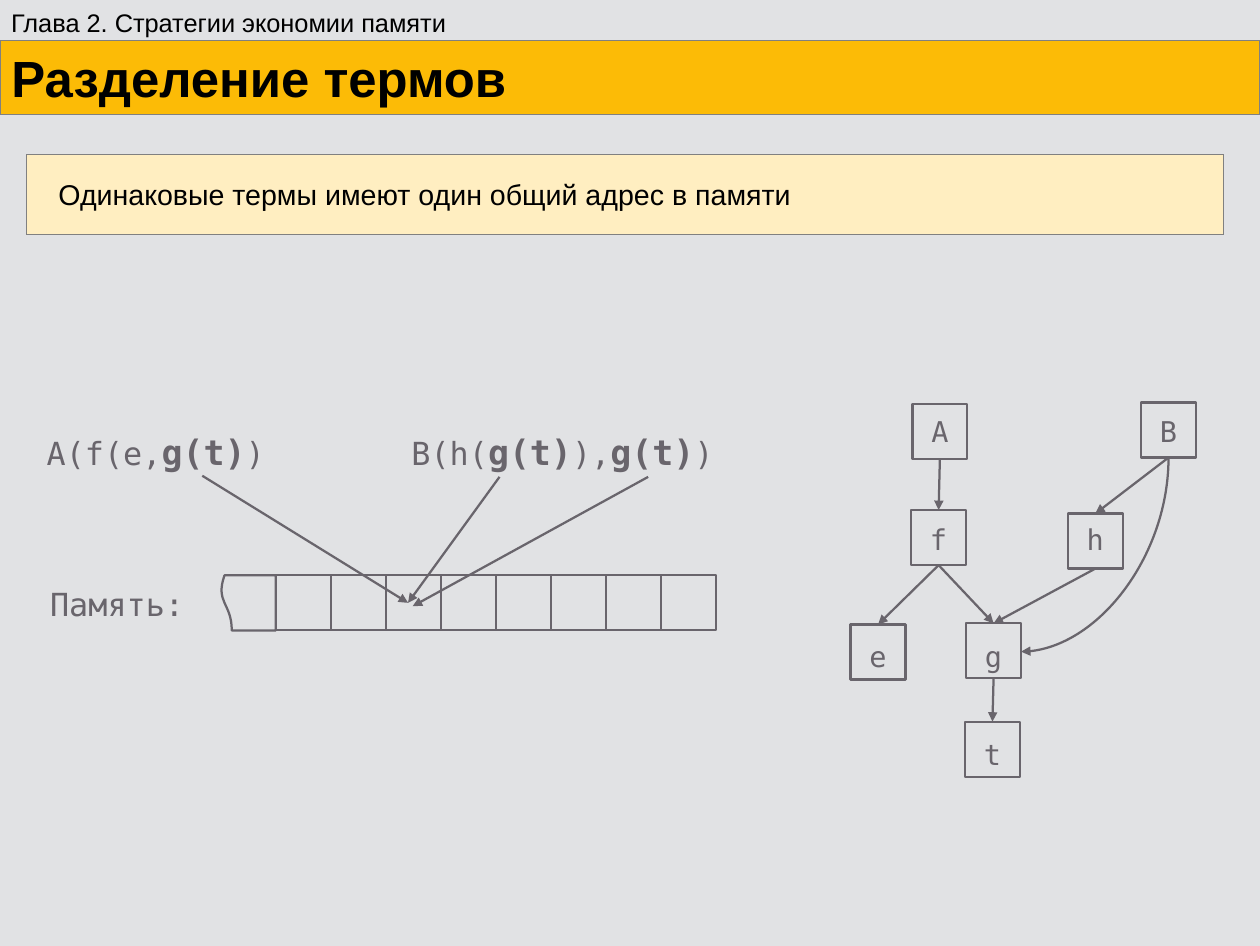
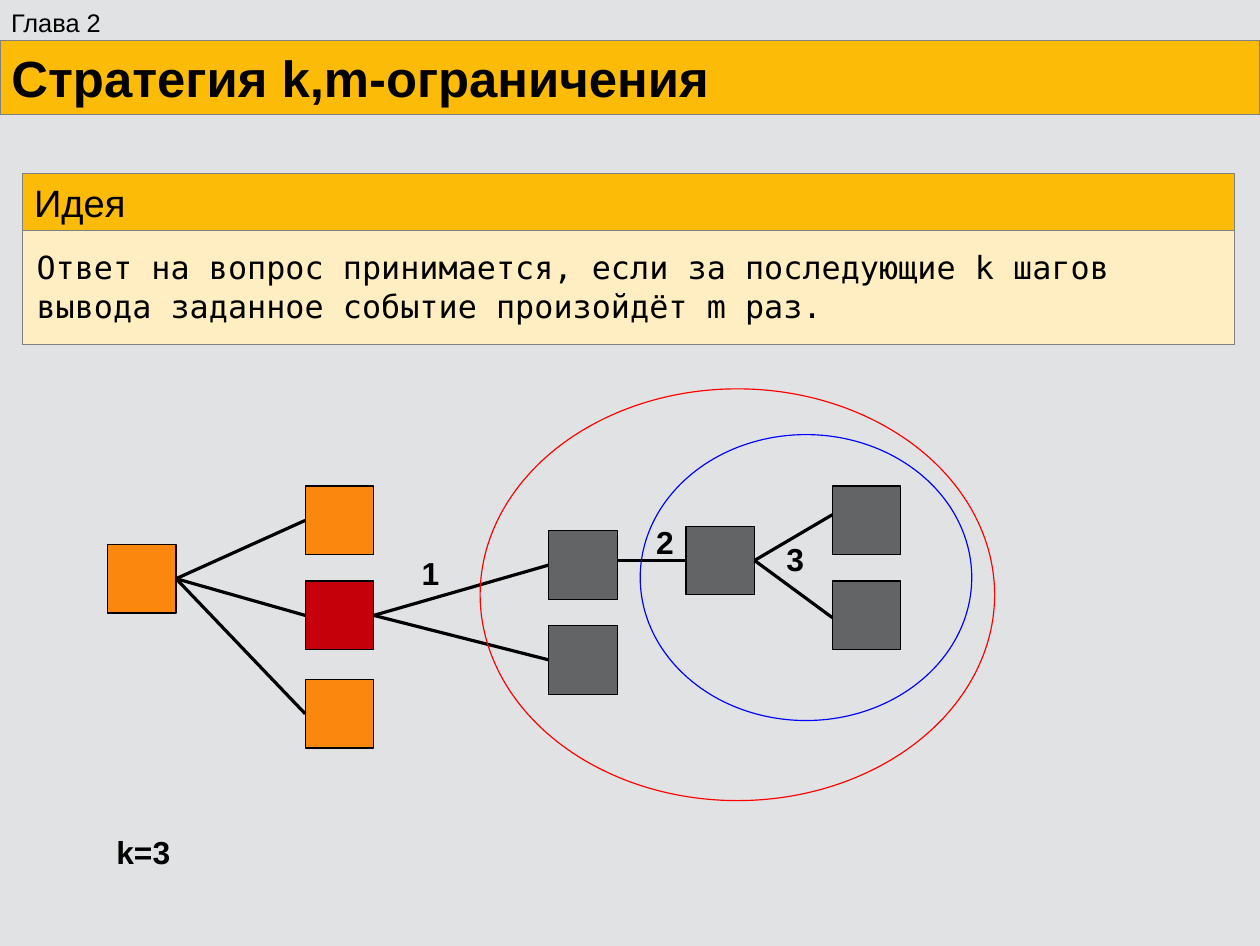
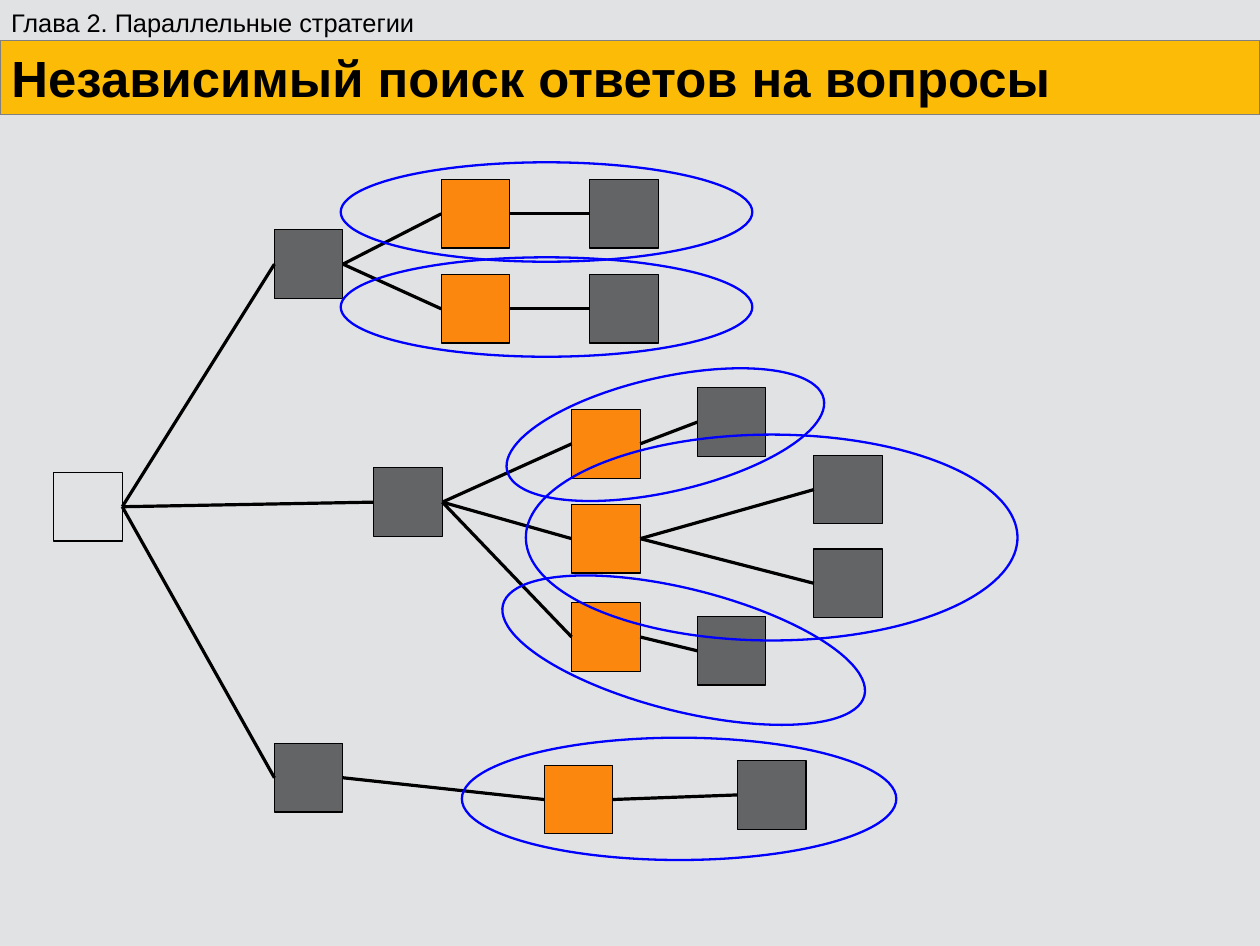
from typing import NamedTuple, Optional

from lxml.etree import SubElement
from pptx import Presentation
from pptx.dml.color import RGBColor
from pptx.enum.shapes import MSO_CONNECTOR, MSO_SHAPE
from pptx.enum.text import MSO_ANCHOR, MSO_AUTO_SIZE, PP_ALIGN
from pptx.oxml.ns import qn
from pptx.util import Pt

# Shared look
PAGE_WIDTH, PAGE_HEIGHT = 793.5, 595.5
SANS, MONO = "Arial", "DejaVu Sans Mono"
BACKGROUND, AMBER, CREAM, BORDER = "E1E2E4", "FCBB06", "FFEEC1", "808080"
BLACK, INK = "000000", "69656C"
ORANGE, GREY, CRIMSON = "FB870E", "636466", "C5000B"
RED, BLUE = "FF0000", "0000FF"
HAIRLINE, DIAGRAM_LINE = 0, 1.42
CELL, SQUARE = 34.65, 43.2
TOP, LEFT, BOTTOM, RIGHT = range(4)  # connection sites of a rectangle


class Box(NamedTuple):
    left: float
    top: float
    width: float
    height: float


class Span(NamedTuple):
    text: str
    size: float
    font: str = SANS
    color: str = BLACK
    bold: bool = False


class Outline(NamedTuple):
    color: str = BLACK
    width: float = HAIRLINE


class Letter(NamedTuple):
    name: str
    left: float
    top: float
    text_top: float


class Square(NamedTuple):
    name: str
    left: float
    top: float
    fill: Optional[str] = GREY


class Oval(NamedTuple):
    box: Box
    outline: Outline
    rotation: float = 0


INK_LINE = Outline(INK, DIAGRAM_LINE)
BORDER_LINE = Outline(BORDER)
BLUE_LINE = Outline(BLUE, 1.45)


def paint(target, color: str) -> None:
    """Give a fill or a line fill a solid colour."""
    target.solid()
    target.fore_color.rgb = RGBColor.from_string(color)


def draw_outline(line, outline: Outline) -> None:
    paint(line.fill, outline.color)
    line.width = Pt(outline.width)


def place(shape, box: Box) -> None:
    shape.left, shape.top, shape.width, shape.height = map(Pt, box)


def write(shape, spans: list[Span], wrap: bool = True, align=PP_ALIGN.LEFT,
          anchor=MSO_ANCHOR.TOP, inset_left: float = 7.2, inset_top: float = 3.6) -> None:
    frame = shape.text_frame
    frame.word_wrap = wrap
    frame.auto_size = MSO_AUTO_SIZE.NONE
    frame.vertical_anchor = anchor
    frame.margin_left, frame.margin_right = Pt(inset_left), Pt(7.2)
    frame.margin_top, frame.margin_bottom = Pt(inset_top), Pt(3.6)
    para = frame.paragraphs[0]
    para.alignment = align
    for span in spans:
        run = para.add_run()
        run.text = span.text
        run.font.name, run.font.size, run.font.bold = span.font, Pt(span.size), span.bold
        run.font.color.rgb = RGBColor.from_string(span.color)


def add_label(page, box: Box, spans: list[Span], wrap: bool = False) -> None:
    write(page.shapes.add_textbox(*map(Pt, box)), spans, wrap)


def add_figure(page, kind, box: Box, outline: Outline, fill: Optional[str] = None):
    shape = page.shapes.add_shape(kind, *map(Pt, box))
    shape.shadow.inherit = False
    if fill:
        paint(shape.fill, fill)
    else:
        shape.fill.background()
    draw_outline(shape.line, outline)
    return shape


def add_oval(page, oval: Oval) -> None:
    shape = add_figure(page, MSO_SHAPE.OVAL, oval.box, oval.outline)
    shape.rotation = oval.rotation


def add_line(page, start: tuple, end: tuple, outline: Outline,
             arrow: bool = False, kind=MSO_CONNECTOR.STRAIGHT):
    line = page.shapes.add_connector(kind, *map(Pt, (*start, *end)))
    draw_outline(line.line, outline)
    if arrow:
        SubElement(line.line._get_or_add_ln(), qn("a:tailEnd"), type="triangle")
    SubElement(line._element.spPr, qn("a:effectLst"))
    return line


def link(page, source, source_site: int, target, target_site: int,
         outline: Outline, arrow: bool = False) -> None:
    line = add_line(page, (0, 0), (1, 1), outline, arrow)
    line.begin_connect(source, source_site)
    line.end_connect(target, target_site)


def add_quarter_curve(page, start: tuple, end: tuple, outline: Outline) -> None:
    """Leave start downwards and arrive at end, lower left, from the right."""
    width, height = end[1] - start[1], start[0] - end[0]
    left = (start[0] + end[0] - width) / 2
    top = (start[1] + end[1] - height) / 2
    curve = add_line(page, (left, top), (left + width, top + height), outline,
                     True, MSO_CONNECTOR.CURVE)
    properties = curve._element.spPr
    properties.find(qn("a:prstGeom")).set("prst", "curvedConnector2")
    properties.find(qn("a:xfrm")).set("rot", "5400000")


def add_page(deck, layout: int, chapter: str, title: str):
    page = deck.slides.add_slide(deck.slide_layouts[layout])
    heading = page.shapes.title
    place(heading, Box(0, 25.2, PAGE_WIDTH, 46.8))
    paint(heading.fill, AMBER)
    draw_outline(heading.line, BORDER_LINE)
    write(heading, [Span(title, 32, bold=True)], anchor=MSO_ANCHOR.MIDDLE)
    add_label(page, Box(0, 0.7, 288, 27), [Span(chapter, 16)])
    return page


def fill_panel(page, box: Box, span: Span, inset_left: float, inset_top: float) -> None:
    body = page.placeholders[1]
    place(body, box)
    paint(body.fill, CREAM)
    draw_outline(body.line, BORDER_LINE)
    para = body.text_frame.paragraphs[0]
    properties = para._p.get_or_add_pPr()
    properties.set("marL", "0")
    properties.set("indent", "0")
    SubElement(properties, qn("a:buNone"))
    para.space_before = Pt(0)
    write(body, [span], inset_left=inset_left, inset_top=inset_top)


def add_squares(page, squares: list[Square]) -> dict:
    return {
        square.name: add_figure(page, MSO_SHAPE.RECTANGLE,
                                Box(square.left, square.top, SQUARE, SQUARE),
                                Outline(), square.fill)
        for square in squares
    }


def add_branches(page, nodes: dict, branches: dict[str, str]) -> None:
    """Join each parent to its children, named in one string."""
    for parent, children in branches.items():
        for child in children.split():
            link(page, nodes[parent], RIGHT, nodes[child], LEFT, Outline())


def add_term_sharing(deck) -> None:
    page = add_page(deck, 1, "Глава 2. Стратегии экономии памяти", "Разделение термов")
    fill_panel(page, Box(16.6, 97.2, 753.8, 50.4),
               Span("Одинаковые термы имеют один общий адрес в памяти", 18), 20.2, 14.4)

    # Memory strip with a torn left end
    strip_left, strip_top = 173.7, 362.2
    for index in range(8):
        add_figure(page, MSO_SHAPE.RECTANGLE,
                   Box(strip_left + index * CELL, strip_top, CELL, CELL), INK_LINE)
    torn = add_figure(page, MSO_SHAPE.FLOWCHART_DOCUMENT,
                      Box(strip_left - CELL, strip_top, CELL, CELL), INK_LINE)
    torn.rotation = 90

    # Terms pointing to the shared cell
    def plain(text: str) -> Span:
        return Span(text, 20, MONO, INK)

    shared = Span("g(t)", 22, MONO, INK, True)
    add_label(page, Box(22.3, 267.8, 199.4, 32.4),
              [plain("A(f(e,"), shared, plain(")")], True)
    add_label(page, Box(252, 267.8, 239, 32.4),
              [plain("B(h("), shared, plain("),"), shared, plain(")")], True)
    add_label(page, Box(24.5, 364.3, 134.6, 30.2), [plain("Память:")], True)
    for start, end in (((127.4, 299.5), (257, 379.5)),
                       ((314.6, 300.2), (257, 379.5)),
                       ((408.2, 300.2), (259.9, 381.6))):
        add_line(page, start, end, INK_LINE, True)

    # Term graph
    letters = [
        Letter("A", 574.6, 254.2, 6.5), Letter("f", 573.8, 321.1, 7.2),
        Letter("e", 535.7, 393.1, 9.4), Letter("g", 608.4, 392.4, 10),
        Letter("B", 718.6, 253.4, 7.2), Letter("h", 672.5, 323.3, 5),
        Letter("t", 607.7, 454.3, 9.4),
    ]
    nodes = {}
    for letter in letters:
        node = add_figure(page, MSO_SHAPE.RECTANGLE,
                          Box(letter.left, letter.top, CELL, CELL), INK_LINE)
        write(node, [Span(letter.name, 18, MONO, INK)], align=PP_ALIGN.CENTER,
              inset_top=letter.text_top)
        nodes[letter.name] = node
    for parent, child in ("Af", "fe", "fg", "Bh", "hg", "gt"):
        link(page, nodes[parent], BOTTOM, nodes[child], TOP, INK_LINE, True)
    add_quarter_curve(page, (735.9, 288), (643, 410.2), INK_LINE)


def add_limit_strategy(deck) -> None:
    page = add_page(deck, 1, "Глава 2", "Стратегия k,m-ограничения")
    fill_panel(page, Box(14.4, 145.4, 763.2, 71.3),
               Span("Ответ на вопрос принимается, если за последующие k шагов "
                    "вывода заданное событие произойдёт m раз.", 20, MONO), 8.6, 10.8)
    header = add_figure(page, MSO_SHAPE.RECTANGLE, Box(14.4, 109.4, 763.2, 36),
                        BORDER_LINE, AMBER)
    write(header, [Span("Идея", 24)], anchor=MSO_ANCHOR.MIDDLE)

    # Search tree
    nodes = add_squares(page, [
        Square("root", 67.7, 342.7, ORANGE),
        Square("upper", 192.2, 306, ORANGE),
        Square("chosen", 192.2, 365.8, CRIMSON),
        Square("lower", 192.2, 427.7, ORANGE),
        Square("step_upper", 345.6, 334.1),
        Square("step_lower", 345.6, 393.8),
        Square("second_step", 432, 331.2),
        Square("leaf_upper", 524.2, 306),
        Square("leaf_lower", 524.2, 365.8),
    ])
    add_branches(page, nodes, {"root": "upper chosen lower",
                               "chosen": "step_upper step_lower"})
    for start, end in (((388.8, 352.8), (432, 352.8)),
                       ((475.2, 352.8), (524.2, 324)),
                       ((475.2, 352.8), (524.2, 388.8))):
        add_line(page, start, end, Outline())

    # Search windows and step numbers
    add_oval(page, Oval(Box(302.4, 244.8, 324, 259.2), Outline(RED)))
    add_oval(page, Oval(Box(403.2, 273.6, 208.8, 180), Outline(BLUE)))
    for text, left, top, width in (("1", 258.5, 344.9, 25.2), ("2", 406.1, 325.4, 25.2),
                                   ("3", 488.2, 336.2, 25.2), ("k=3", 66.2, 520.6, 48.2)):
        add_label(page, Box(left, top, width, 33.1), [Span(text, 20, bold=True)])


def add_independent_search(deck) -> None:
    page = add_page(deck, 5, "Глава 2. Параллельные стратегии",
                    "Независимый поиск ответов на вопросы")

    # Search tree
    nodes = add_squares(page, [
        Square("root", 33.8, 297.4, None),
        Square("top", 172.8, 144.7),
        Square("middle", 235.4, 294.5),
        Square("bottom", 172.8, 468),
        Square("top_1", 277.9, 113, ORANGE),
        Square("top_2", 277.9, 172.8, ORANGE),
        Square("middle_1", 360, 257.8, ORANGE),
        Square("middle_2", 360, 317.5, ORANGE),
        Square("middle_3", 360, 379.4, ORANGE),
        Square("bottom_1", 342.7, 481.7, ORANGE),
        Square("top_1_leaf", 371.5, 113),
        Square("top_2_leaf", 371.5, 172.8),
        Square("middle_1_leaf", 439.2, 244.1),
        Square("middle_2_upper", 512.6, 286.6),
        Square("middle_2_lower", 512.6, 345.6),
        Square("middle_3_leaf", 439.2, 388.1),
        Square("bottom_1_leaf", 464.4, 478.8),
    ])
    add_branches(page, nodes, {
        "root": "top middle bottom",
        "top": "top_1 top_2",
        "middle": "middle_1 middle_2 middle_3",
        "bottom": "bottom_1",
        "top_1": "top_1_leaf",
        "top_2": "top_2_leaf",
        "middle_1": "middle_1_leaf",
        "middle_2": "middle_2_upper middle_2_lower",
        "middle_3": "middle_3_leaf",
        "bottom_1": "bottom_1_leaf",
    })

    # Independent groups
    for oval in (Oval(Box(214.6, 102.2, 259.2, 62.6), BLUE_LINE),
                 Oval(Box(214.6, 162, 259.2, 62.6), BLUE_LINE),
                 Oval(Box(316.8, 237.6, 204.5, 72), BLUE_LINE, -12.8),
                 Oval(Box(331.2, 273.6, 309.6, 129.6), BLUE_LINE),
                 Oval(Box(313.2, 370.8, 234.7, 77), BLUE_LINE, 14.1),
                 Oval(Box(290.9, 464.4, 273.6, 77), BLUE_LINE)):
        add_oval(page, oval)


def main() -> None:
    deck = Presentation()
    deck.slide_width, deck.slide_height = Pt(PAGE_WIDTH), Pt(PAGE_HEIGHT)
    paint(deck.slide_master.background.fill, BACKGROUND)
    add_term_sharing(deck)
    add_limit_strategy(deck)
    add_independent_search(deck)
    deck.save("out.pptx")


if __name__ == "__main__":
    main()
